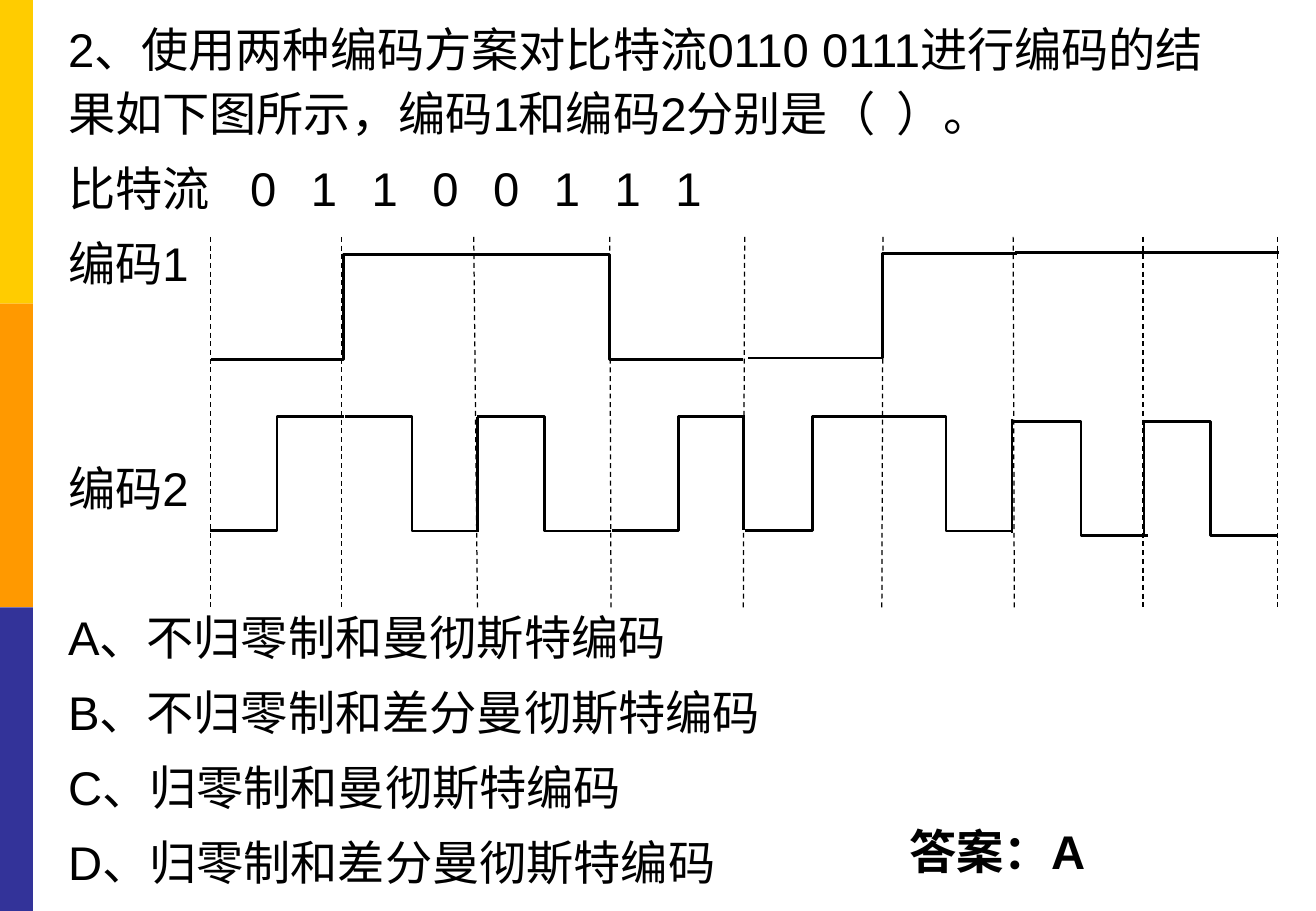
import pptx
import pptx.dml.color
import pptx.enum.dml
import pptx.enum.lang
import pptx.enum.shapes
import pptx.enum.text
import pptx.oxml
import pptx.oxml.ns
import pptx.util

Pt = pptx.util.Pt

THEME = {
    "ink": "000000", "bars": ["FFCC00", "FF9900", "333399"],
    "font": "Arial", "size": 28, "wave": 1.5, "grid": 0.75,
}
WIDE, HIGH = 780, 540
GAP, PITCH = 6, 44.4  # space before a line, and distance between lines

# Content: text and the number of empty rows above it
BITS = "01100111"
LINES = [
    ("2、使用两种编码方案对比特流0110 0111进行编码的结果如下图所示，编码1和编码2分别是（  ）。", 0),
    ("\t".join(["比特流", *BITS]), 0),
    ("编码1", 0),
    ("编码2", 2),
    ("A、不归零制和曼彻斯特编码", 1),
    ("B、不归零制和差分曼彻斯特编码", 0),
    ("C、归零制和曼彻斯特编码", 0),
    ("D、归零制和差分曼彻斯特编码", 0),
]
ANSWER = "答案：A"
TABS = [129.2, 206.8, 284.4, 362, 447.4, 532.7, 602.7, 680.3]

# Bit borders: x at the top and at the foot
GRID = [
    (124.6, 124.6), (202.3, 202.3), (280.8, 283), (361.4, 362.2), (441.4, 440.6),
    (523.4, 522.7), (600.5, 601.2), (677.5, 677.5), (757.4, 757.4),
]
TOP, FOOT = 140.4, 360.7

# Waves: steps run from x1, y1 to x2, y2 with the jump halfway
HIGH1, LOW1 = 150.8, 213
STEPS1 = [
    (125.3, LOW1, 282.2, HIGH1),
    (282.2, HIGH1, 440.6, LOW1),
    (443.5, LOW1 - 0.7, 602.6, HIGH1 - 0.5),
]
FLAT1 = (601.9, 149.8, 758.2, 149.8)

HIGH2, LOW2, SHIFT = 247, 314.6, 2.9
STEPS2 = [  # x1, x2, rising, lowered by
    (124.6, 203.8, True, 0), (204.5, 283.7, False, 0),
    (283, 362.2, False, 0), (362.9, 441.4, True, 0),
    (441.4, 522, True, 0), (521.3, 600.5, False, 0),
    (601.2, 680.4, False, SHIFT), (677.5, 757.4, False, SHIFT),
]
JUMPS2 = [(283, 0), (440.6, -0.7), (599.8, 1.4), (678.2, SHIFT)]  # x, lowered by


def color(code):
    return pptx.dml.color.RGBColor.from_string(code)


def write(para, text, bold=False, before=GAP, tabs=()):
    """Fill one paragraph with plain, unbulleted text."""
    run = para.add_run()
    run.text = text
    font = run.font
    font.name, font.size, font.bold = THEME["font"], Pt(THEME["size"]), bold
    font.color.rgb = color(THEME["ink"])
    font.language_id = pptx.enum.lang.MSO_LANGUAGE_ID.SIMPLIFIED_CHINESE
    para.alignment = pptx.enum.text.PP_ALIGN.LEFT
    para.line_spacing, para.space_before, para.space_after = 1.14, Pt(before), Pt(0)
    props = para._p.get_or_add_pPr()
    props.set("marL", "0")
    props.set("indent", "0")
    stops = "".join(f'<a:tab pos="{Pt(x)}" algn="ctr"/>' for x in tabs)
    space = pptx.oxml.ns.nsdecls("a")
    props.append(pptx.oxml.parse_xml(f"<a:buNone {space}/>"))
    if stops:
        props.append(pptx.oxml.parse_xml(f"<a:tabLst {space}>{stops}</a:tabLst>"))


def frame(shape):
    """Set up the text frame of a shape."""
    text = shape.text_frame
    text.word_wrap = True
    text.auto_size = pptx.enum.text.MSO_AUTO_SIZE.NONE
    text.vertical_anchor = pptx.enum.text.MSO_ANCHOR.TOP
    return text


def link(slide, ends, bent=False, dash=False):
    kinds = pptx.enum.shapes.MSO_CONNECTOR
    kind = kinds.ELBOW if bent else kinds.STRAIGHT
    line = slide.shapes.add_connector(kind, *map(Pt, ends))
    line.line.color.rgb = color(THEME["ink"])
    line.line.width = Pt(THEME["grid" if dash else "wave"])
    if dash:
        line.line.dash_style = pptx.enum.dml.MSO_LINE.DASH
    space = pptx.oxml.ns.nsdecls("a")
    line._element.spPr.append(pptx.oxml.parse_xml(f"<a:effectLst {space}/>"))


def main():
    deck = pptx.Presentation()
    deck.slide_width, deck.slide_height = Pt(WIDE), Pt(HIGH)
    slide = deck.slides.add_slide(deck.slide_layouts[1])
    title = slide.shapes.title.element
    title.getparent().remove(title)

    # Side bars
    tall = HIGH / len(THEME["bars"])
    for i, code in enumerate(THEME["bars"]):
        bar = slide.shapes.add_shape(
            pptx.enum.shapes.MSO_SHAPE.RECTANGLE, 0, Pt(i * tall), Pt(19.6), Pt(tall))
        bar.shadow.inherit = False
        bar.fill.solid()
        bar.fill.fore_color.rgb = color(code)
        bar.line.fill.background()

    # Question, row labels and options
    body = slide.placeholders[1]
    body.left, body.top, body.width, body.height = map(Pt, (33.1, 3.6, 713.5, 527))
    text = frame(body)
    for i, (words, skip) in enumerate(LINES):
        para = text.add_paragraph() if i else text.paragraphs[0]
        write(para, words, before=GAP + skip * PITCH, tabs=TABS if "\t" in words else ())

    # Bit borders
    for x1, x2 in GRID:
        link(slide, (x1, TOP, x2, FOOT), dash=True)

    # Code 1
    for step in STEPS1:
        link(slide, step, bent=True)
    link(slide, FLAT1)

    # Code 2
    for x1, x2, rise, down in STEPS2:
        y1, y2 = (LOW2, HIGH2) if rise else (HIGH2, LOW2)
        link(slide, (x1, y1 + down, x2, y2 + down), bent=True)
    for x, down in JUMPS2:
        link(slide, (x, HIGH2 + down, x, LOW2 + down))

    # Answer
    box = slide.shapes.add_textbox(*map(Pt, (532, 479, 141, 51)))
    write(frame(box).paragraphs[0], ANSWER, bold=True, before=5.6)

    deck.save("out.pptx")


if __name__ == "__main__":
    main()
